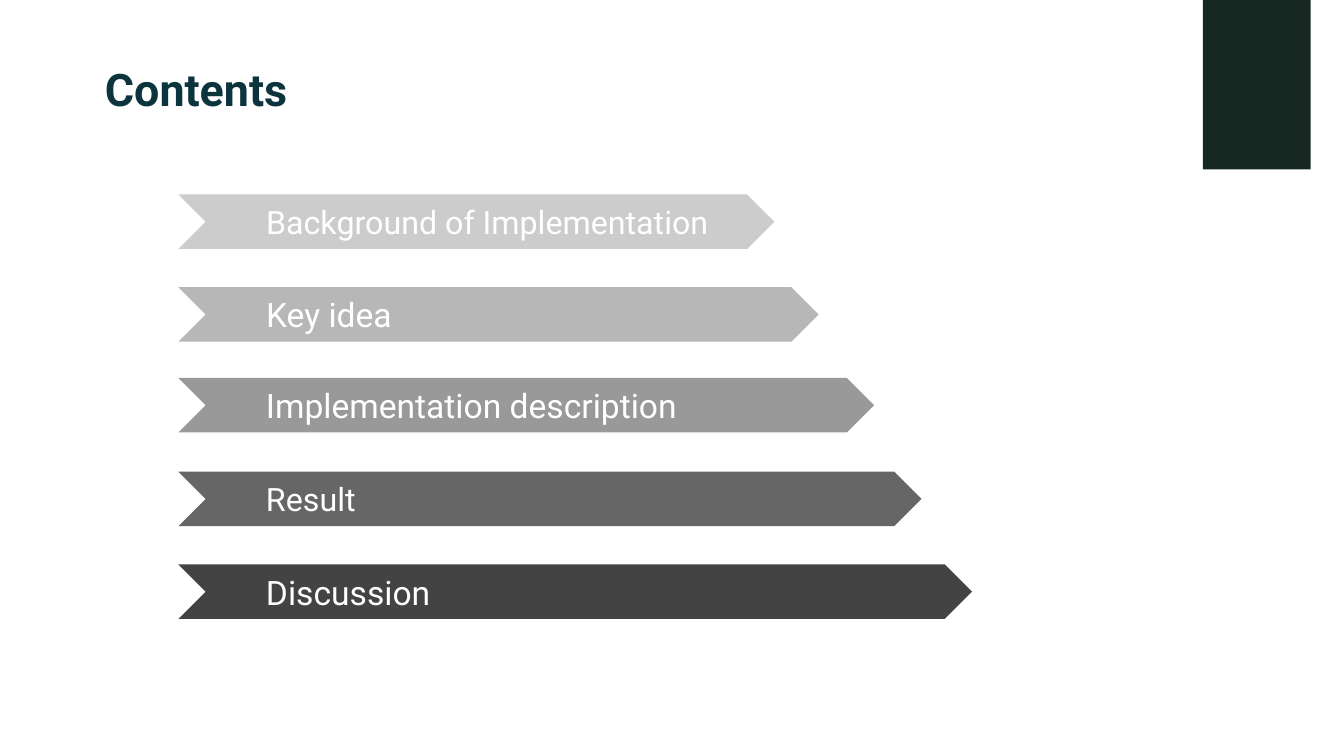
from pptx import Presentation
from pptx.dml.color import RGBColor
from pptx.enum.shapes import MSO_SHAPE
from pptx.enum.text import MSO_ANCHOR, PP_ALIGN
from pptx.util import Inches, Pt

COLORS = {
    "corner": "162621",
    "title": "0C343D",
    "label": "FFFFFF",
    "background": "CCCCCC",
    "idea": "B7B7B7",
    "description": "999999",
    "result": "666666",
    "discussion": "434343",
}
TITLE_ONLY = 5
CHEVRON_LEFT, CHEVRON_HEIGHT = 1.77, 0.54

# label, colour, top, width, text size
SECTIONS = [
    ("Background of Implementation", "background", 1.93, 5.91, 23),
    ("Key idea", "idea", 2.85, 6.35, 24),
    ("Implementation description", "description", 3.75, 6.9, 24),
    ("Result", "result", 4.68, 7.37, 23),
    ("Discussion", "discussion", 5.6, 7.87, 24),
]


def write_text(box, text, size, color, font="Roboto", bold=False,
               anchor=MSO_ANCHOR.MIDDLE, indent=0):
    """Fill a shape with one left-aligned line; indent is in inches."""
    frame = box.text_frame
    frame.word_wrap = True
    frame.vertical_anchor = anchor
    para = frame.paragraphs[0]
    para.alignment = PP_ALIGN.LEFT
    if indent:
        properties = para._p.get_or_add_pPr()
        properties.set("marL", str(Inches(indent)))
        properties.set("indent", "0")
    span = para.add_run()
    span.text = text
    span.font.name = font
    span.font.size = Pt(size)
    span.font.bold = bold
    span.font.color.rgb = RGBColor.from_string(COLORS[color])


class SlideBuilder:
    def __init__(self, deck):
        self.page = deck.slides.add_slide(deck.slide_layouts[TITLE_ONLY])

    def title(self, text, left, top, width, height):
        box = self.page.shapes.title
        box.left, box.top = Inches(left), Inches(top)
        box.width, box.height = Inches(width), Inches(height)
        write_text(box, text, 32, "title", bold=True, anchor=MSO_ANCHOR.TOP)

    def shape(self, preset, left, top, width, height, color):
        box = self.page.shapes.add_shape(
            preset, Inches(left), Inches(top), Inches(width), Inches(height))
        box.shadow.inherit = False
        box.fill.solid()
        box.fill.fore_color.rgb = RGBColor.from_string(COLORS[color])
        box.line.fill.background()
        return box

    def chevron(self, text, color, top, width, size):
        box = self.shape(MSO_SHAPE.CHEVRON, CHEVRON_LEFT, top, width,
                         CHEVRON_HEIGHT, color)
        box.adjustments[0] = 0.5
        write_text(box, text, size, "label", indent=0.5)


def main():
    deck = Presentation()
    deck.slide_width, deck.slide_height = Inches(13.33), Inches(7.5)
    builder = SlideBuilder(deck)
    builder.shape(MSO_SHAPE.RECTANGLE, 11.93, 0, 1.07, 1.68, "corner")
    builder.title("Contents", 0.94, 0.56, 8.29, 0.64)
    for section in SECTIONS:
        builder.chevron(*section)
    deck.save("out.pptx")


if __name__ == "__main__":
    main()
